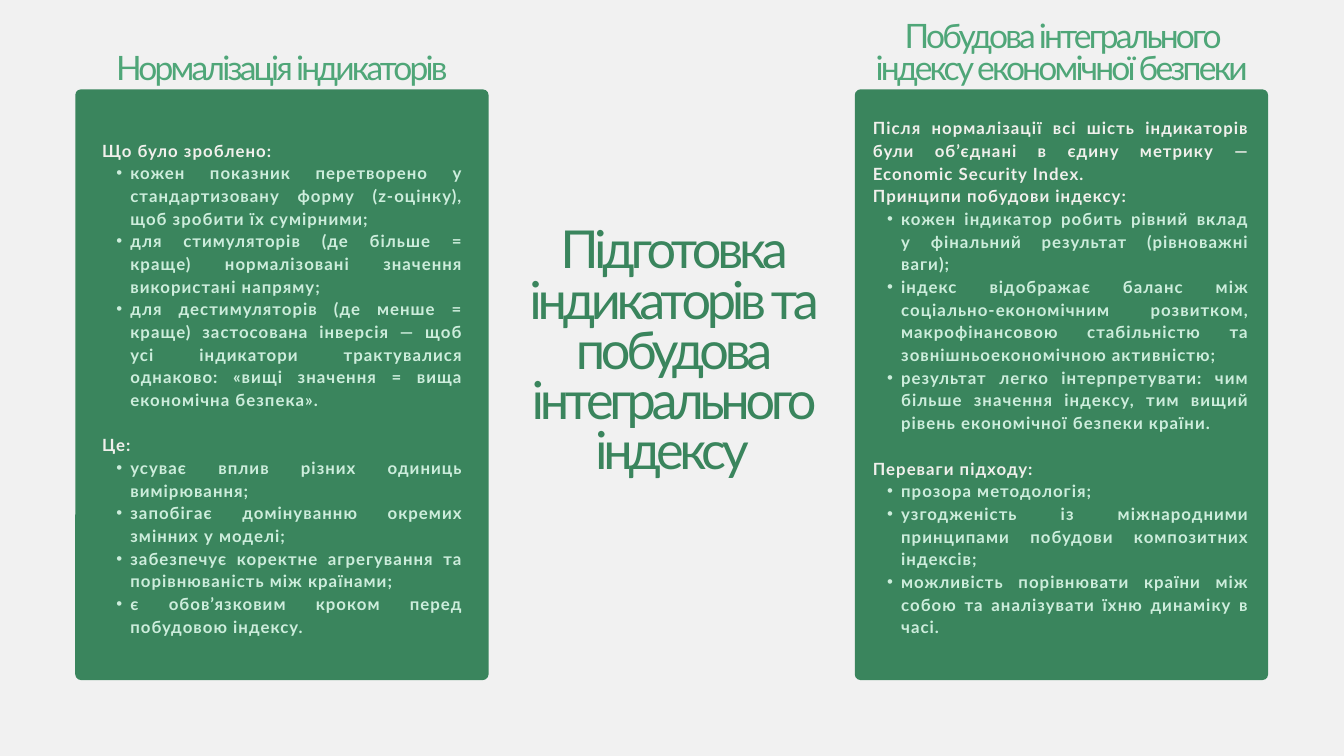
from dataclasses import dataclass

from lxml.etree import SubElement
from pptx import Presentation
from pptx.dml.color import RGBColor
from pptx.enum.shapes import MSO_SHAPE
from pptx.enum.text import MSO_ANCHOR, MSO_AUTO_SIZE, PP_ALIGN
from pptx.oxml.ns import qn
from pptx.util import Inches, Pt

COLORS = {
    "background": "F1F1F1",
    "card": "3A855D",
    "heading": "4FA678",
    "label": "F1F0EC",
    "bullet": "CDEDDC",
}
FONT = "Lato"
CARD_TOP, CARD_WIDTH, CARD_HEIGHT = 1.33, 6.15, 8.79
CORNER = 0.085
LIST_LEADING = 24.3


@dataclass(frozen=True)
class Box:
    left: float
    top: float
    width: float
    height: float


@dataclass(frozen=True)
class Style:
    size: float
    color: str
    leading: float
    spacing: float
    bold: bool = False
    align: PP_ALIGN = PP_ALIGN.CENTER


@dataclass(frozen=True)
class Section:
    labels: list[str]
    bullets: list[str]


@dataclass(frozen=True)
class Column:
    card_left: float
    heading: str
    heading_box: Box
    list_box: Box
    sections: list[Section]


TITLE = Style(56, "card", 53.8, -4.6)
HEADING = Style(36, "heading", 34.6, -3)
LABEL = Style(18, "label", LIST_LEADING, 1.1, True, PP_ALIGN.JUSTIFY)
BULLET = Style(18, "bullet", LIST_LEADING, 1.1, True, PP_ALIGN.JUSTIFY)

COLUMNS = [
    Column(
        1.12,
        "Нормалізація індикаторів",
        Box(1.12, 0.82, 6.15, 0.52),
        Box(1.52, 2.05, 5.37, 7.33),
        [
            Section(["Що було зроблено:"], [
                "кожен показник перетворено у стандартизовану форму (z-оцінку), "
                "щоб зробити їх сумірними;",
                "для стимуляторів (де більше = краще) нормалізовані значення "
                "використані напряму;",
                "для дестимуляторів (де менше = краще) застосована інверсія — щоб усі "
                "індикатори трактувалися однаково: «вищі значення = вища економічна безпека».",
            ]),
            Section(["Це:"], [
                "усуває вплив різних одиниць вимірювання;",
                "запобігає домінуванню окремих змінних у моделі;",
                "забезпечує коректне агрегування та порівнюваність між країнами;",
                "є обов’язковим кроком перед побудовою індексу.",
            ]),
        ],
    ),
    Column(
        12.72,
        "Побудова інтегрального індексу економічної безпеки",
        Box(12.72, 0.34, 6.16, 0.99),
        Box(12.99, 1.72, 5.6, 7.99),
        [
            Section([
                "Після нормалізації всі шість індикаторів були об’єднані в єдину "
                "метрику — Economic Security Index.",
                "Принципи побудови індексу:",
            ], [
                "кожен індикатор робить рівний вклад у фінальний результат (рівноважні ваги);",
                "індекс відображає баланс між соціально-економічним розвитком, "
                "макрофінансовою стабільністю та зовнішньоекономічною активністю;",
                "результат легко інтерпретувати: чим більше значення індексу, тим вищий "
                "рівень економічної безпеки країни.",
            ]),
            Section(["Переваги підходу:"], [
                "прозора методологія;",
                "узгодженість із міжнародними принципами побудови композитних індексів;",
                "можливість порівнювати країни між собою та аналізувати їхню динаміку в часі.",
            ]),
        ],
    ),
]


def color(name: str) -> RGBColor:
    return RGBColor.from_string(COLORS[name])


def place(shape, box: Box):
    """Move a placeholder and return its text frame without margins."""
    shape.left, shape.top = Inches(box.left), Inches(box.top)
    shape.width, shape.height = Inches(box.width), Inches(box.height)
    frame = shape.text_frame
    frame.word_wrap = True
    frame.auto_size = MSO_AUTO_SIZE.NONE
    frame.vertical_anchor = MSO_ANCHOR.TOP
    frame.margin_left = frame.margin_right = frame.margin_top = frame.margin_bottom = 0
    return frame


def write(paragraph, text: str, style: Style, bullet: bool = False, before: float = 0) -> None:
    paragraph.text = text
    paragraph.alignment = style.align
    paragraph.line_spacing = Pt(style.leading)
    paragraph.space_before = Pt(before)
    paragraph.space_after = Pt(0)
    properties = paragraph._p.get_or_add_pPr()
    properties.set("marL", str(Inches(0.42) if bullet else 0))
    properties.set("indent", str(Inches(-0.21) if bullet else 0))
    if bullet:
        SubElement(properties, qn("a:buChar")).set("char", "•")
    else:
        SubElement(properties, qn("a:buNone"))
    font = paragraph.font
    font.name, font.size, font.bold = FONT, Pt(style.size), style.bold
    font.color.rgb = color(style.color)
    properties.find(qn("a:defRPr")).set("spc", str(round(style.spacing * 100)))


def write_sections(frame, sections: list[Section]) -> None:
    paragraph = frame.paragraphs[0]
    for number, section in enumerate(sections):
        lines = [(text, LABEL) for text in section.labels]
        lines += [(text, BULLET) for text in section.bullets]
        for position, (text, style) in enumerate(lines):
            starts_section = number > 0 and position == 0
            if number or position:
                paragraph = frame.add_paragraph()
            write(paragraph, text, style, style is BULLET,
                  LIST_LEADING if starts_section else 0)


def add_card(slide, left: float) -> None:
    card = slide.shapes.add_shape(
        MSO_SHAPE.ROUNDED_RECTANGLE, Inches(left), Inches(CARD_TOP),
        Inches(CARD_WIDTH), Inches(CARD_HEIGHT))
    card.adjustments[0] = CORNER / CARD_WIDTH
    card.fill.solid()
    card.fill.fore_color.rgb = color("card")
    card.line.fill.background()
    card.shadow.inherit = False
    # Cards lie behind the placeholders
    slide.shapes._spTree.insert(2, card._element)


def main() -> None:
    presentation = Presentation()
    presentation.slide_width, presentation.slide_height = Inches(20), Inches(11.25)
    # The comparison layout has a title and two headed lists
    slide = presentation.slides.add_slide(presentation.slide_layouts[4])
    slide.background.fill.solid()
    slide.background.fill.fore_color.rgb = color("background")

    # Central title
    title = place(slide.shapes.title, Box(7.01, 3.41, 5.98, 3.75))
    write(title.paragraphs[0], "Підготовка індикаторів та побудова інтегрального індексу", TITLE)

    # Side columns
    placeholders = list(slide.placeholders)[1:]
    for column, heading, body in zip(COLUMNS, placeholders[::2], placeholders[1::2]):
        add_card(slide, column.card_left)
        write(place(heading, column.heading_box).paragraphs[0], column.heading, HEADING)
        write_sections(place(body, column.list_box), column.sections)

    presentation.save("out.pptx")


if __name__ == "__main__":
    main()
